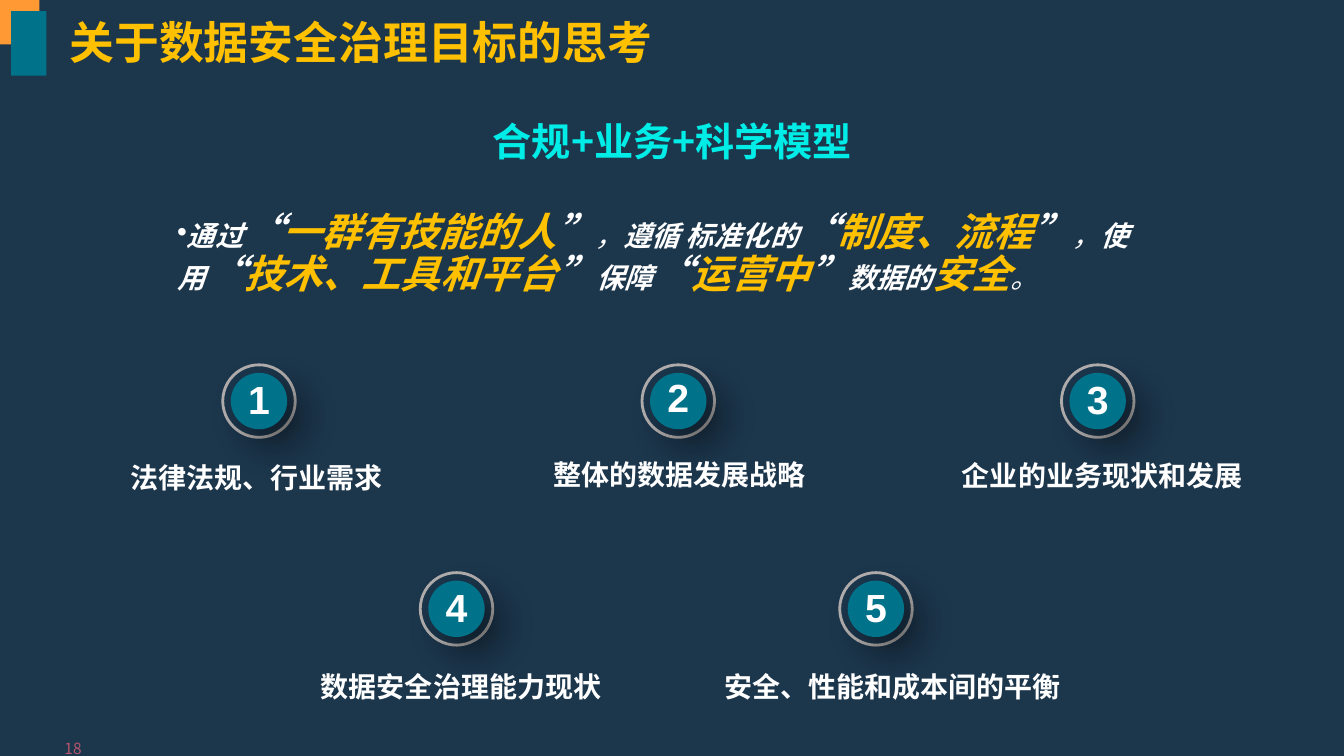
import pptx
import pptx.util
import pptx.oxml
import pptx.oxml.ns
import pptx.dml.color
import pptx.enum.shapes
import pptx.enum.text
from lxml import etree

Pt = pptx.util.Pt
RGB = pptx.dml.color.RGBColor
qn = pptx.oxml.ns.qn
SHAPE = pptx.enum.shapes.MSO_SHAPE
ANCHOR = pptx.enum.text.MSO_ANCHOR
ALIGN = pptx.enum.text.PP_ALIGN
FIT = pptx.enum.text.MSO_AUTO_SIZE

NAVY = RGB(0x1C, 0x36, 0x4C)
ORANGE = RGB(0xFF, 0x99, 0x33)
TEAL = RGB(0x00, 0x72, 0x8A)
GOLD = RGB(0xFF, 0xC0, 0x00)
CYAN = RGB(0x00, 0xEC, 0xE7)
WHITE = RGB(0xFF, 0xFF, 0xFF)
GREY = RGB(0xAF, 0xAB, 0xAB)
ROSE = RGB(0xB5, 0x55, 0x6F)
SANS = "Noto Sans CJK SC"

CREED = [
    ("通过", "plain"), ("“", "quote"), ("一群有技能的人", "key"), ("”", "quote"),
    ("，", "mark"), ("遵循 标准化的", "plain"), ("“", "quote"),
    ("制度、流程", "key"), ("”", "quote"), ("，", "mark"), ("使用", "plain"),
    ("“", "quote"), ("技术、工具和平台", "key"), ("”", "quote"),
    ("保障", "plain"), ("“", "quote"), ("运营中", "key"), ("”", "quote"),
    ("数据的", "plain"), ("安全", "key"), ("。", "mark"),
]
STYLES = {
    "plain": dict(size=20),
    "quote": dict(size=28),
    "key": dict(size=28, color=GOLD),
    "mark": dict(size=20, bold=False),
}
GOALS = [
    (159.1, 260.6, 2.9, "法律法规、行业需求", 183.2, 325.4),
    (458.6, 260.6, 5.8, "整体的数据发展战略", 485.6, 323.3),
    (758.2, 260.6, 2.9, "企业的业务现状和发展", 787.3, 324),
    (300.2, 409, 2.9, "数据安全治理能力现状", 329.4, 474.5),
    (599.8, 409, 2.9, "安全、性能和成本间的平衡", 637.5, 474.5),
]


def write(par, text, size=20, color=WHITE, bold=True, italic=False, face=SANS):
    """Add a run of formatted text to a paragraph."""
    run = par.add_run()
    run.text = text
    font = run.font
    font.size, font.bold, font.italic = Pt(size), bold, italic
    font.color.rgb = color
    font.name = face
    etree.SubElement(run._r.get_or_add_rPr(), qn("a:ea"), typeface=face)


def draw(shapes, kind, left, top, width, height, fill=None, line=None):
    """Add a flat preset shape."""
    shape = shapes.add_shape(kind, Pt(left), Pt(top), Pt(width), Pt(height))
    shape.shadow.inherit = False
    if fill is None:
        shape.fill.background()
    else:
        shape.fill.solid()
        shape.fill.fore_color.rgb = fill
    if line is None:
        shape.line.fill.background()
    else:
        shape.line.color.rgb = line
        shape.line.width = Pt(2)
    return shape


def shade(shape):
    """Give a shape a soft shadow to the lower right."""
    effects = shape._element.spPr.find(qn("a:effectLst"))
    outer = etree.SubElement(
        effects, qn("a:outerShdw"), blurRad=str(Pt(20)), dist=str(Pt(15)),
        dir="2700000", algn="tl", rotWithShape="0")
    tint = etree.SubElement(outer, qn("a:srgbClr"), val="000000")
    etree.SubElement(tint, qn("a:alpha"), val="40000")


def area(slide, left, top, width, height, wrap=True):
    """Add a growing text box and return its first paragraph."""
    box = slide.shapes.add_textbox(Pt(left), Pt(top), Pt(width), Pt(height))
    frame = box.text_frame
    frame.word_wrap = wrap
    frame.auto_size = FIT.SHAPE_TO_FIT_TEXT
    return frame.paragraphs[0]


def frame_page(slide):
    """Paint the backdrop, corner blocks and page number."""
    slide.background.fill.solid()
    slide.background.fill.fore_color.rgb = NAVY
    draw(slide.shapes, SHAPE.RECTANGLE, 0, 0, 28.1, 31.7, ORANGE)
    draw(slide.shapes, SHAPE.RECTANGLE, 7.9, 7.9, 25.2, 46.1, TEAL)
    page = draw(slide.shapes, SHAPE.ROUNDED_RECTANGLE, 20.9, 519.8, 62.6, 31)
    page.adjustments[0] = 0.5
    page.text_frame.vertical_anchor = ANCHOR.TOP
    par = page.text_frame.paragraphs[0]
    par.alignment = ALIGN.CENTER
    write(par, "18", size=11, color=ROSE, bold=False)


def head(slide, left, top, width, height):
    """Place the slide title."""
    title = slide.shapes.title
    title.left, title.top = Pt(left), Pt(top)
    title.width, title.height = Pt(width), Pt(height)
    frame = title.text_frame
    frame.auto_size = FIT.NONE
    frame.vertical_anchor = ANCHOR.MIDDLE
    par = frame.paragraphs[0]
    par.alignment = ALIGN.LEFT
    par.line_spacing = 0.9
    write(par, "关于数据安全治理目标的思考", size=32, color=GOLD)


def creed(slide, left, top, width, height):
    """Place the bulleted statement with its key words."""
    par = area(slide, left, top, width, height)
    par.line_spacing = 0.9
    par.space_after = Pt(6)
    props = par._p.get_or_add_pPr()
    props.set("marL", "0")
    props.set("indent", str(-Pt(18)))
    etree.SubElement(props, qn("a:buFont"), typeface="Arial")
    etree.SubElement(props, qn("a:buChar"), char="•")
    for text, style in CREED:
        write(par, text, italic=True, **STYLES[style])


def badge(slide, left, top, number, lift):
    """Place a numbered disk inside a ring."""
    shapes = slide.shapes.add_group_shape().shapes
    ring, gap = 51.8, 5.75
    disk = ring - 2 * gap
    shade(draw(shapes, SHAPE.OVAL, left, top, ring, ring, line=GREY))
    core = draw(shapes, SHAPE.OVAL, left + gap, top + gap, disk, disk, TEAL)
    shade(core)
    frame = core.text_frame
    frame.margin_left = frame.margin_right = frame.margin_top = 0
    frame.margin_bottom = Pt(lift)
    frame.vertical_anchor = ANCHOR.MIDDLE
    par = frame.paragraphs[0]
    par.alignment = ALIGN.CENTER
    write(par, str(number), size=28, face="Arial")


def label(slide, text, center, top):
    """Place a one-line caption around a center."""
    width = 20 * len(text) + 16.6
    par = area(slide, center - width / 2, top, width, 31.7, wrap=False)
    par.alignment = ALIGN.CENTER
    write(par, text)


def main():
    """Build and save the slide."""
    deck = pptx.Presentation()
    deck.slide_width, deck.slide_height = Pt(960), Pt(540)
    slide = deck.slides.add_slide(deck.slide_layouts[5])
    frame_page(slide)
    head(slide, 42.5, 13, 772.6, 38.2)
    creed(slide, 119.5, 148.3, 736.6, 68.4)
    write(area(slide, 344.9, 79.9, 306.7, 41), "合规+业务+科学模型",
          size=28, color=CYAN)
    for number, goal in enumerate(GOALS, 1):
        left, top, lift, text, center, base = goal
        badge(slide, left, top, number, lift)
        label(slide, text, center, base)
    deck.save("out.pptx")


if __name__ == "__main__":
    main()
